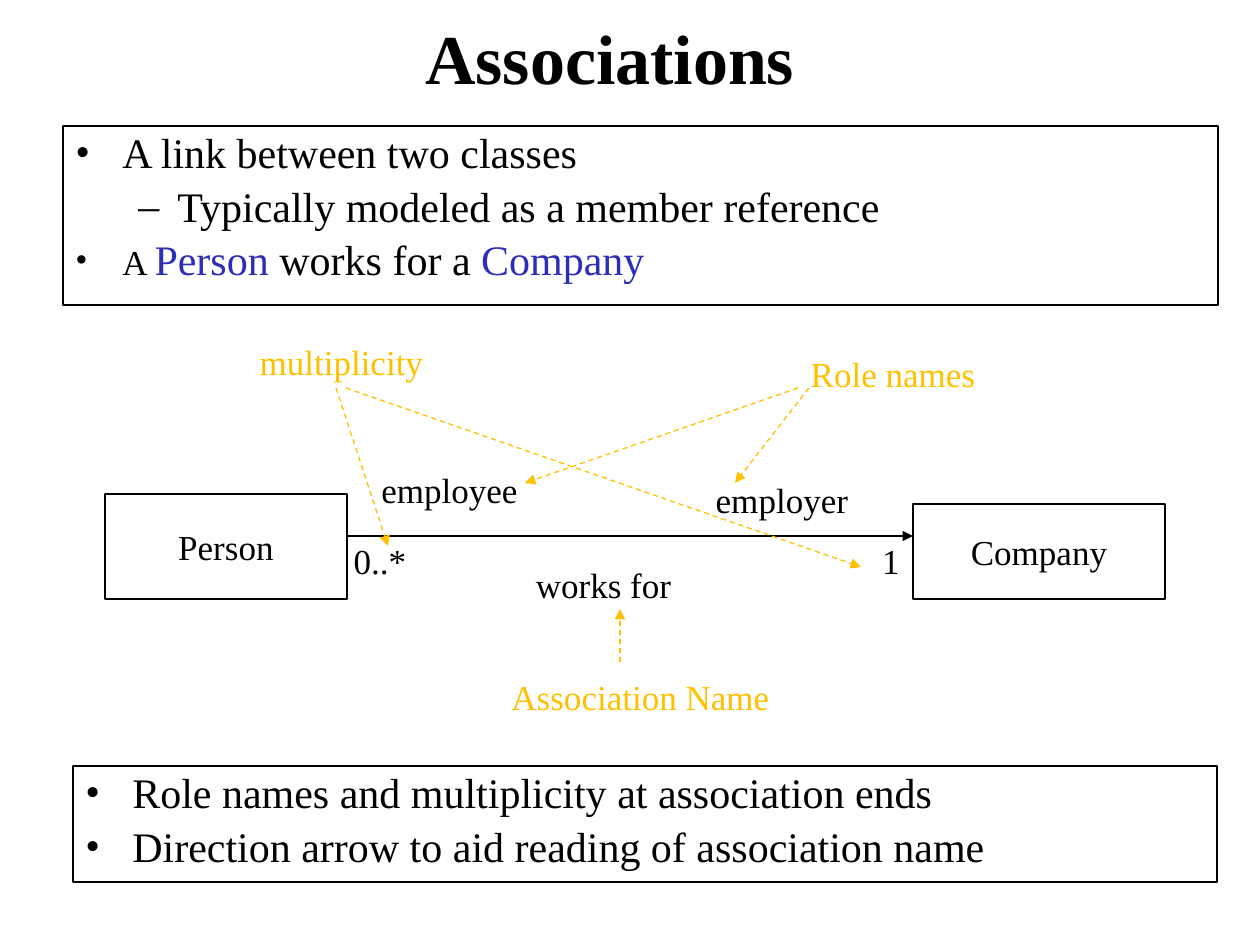
from dataclasses import dataclass

from lxml.etree import SubElement
from pptx import Presentation
from pptx.dml.color import RGBColor
from pptx.enum.dml import MSO_LINE
from pptx.enum.shapes import MSO_CONNECTOR, MSO_SHAPE
from pptx.enum.text import MSO_ANCHOR, PP_ALIGN
from pptx.oxml.ns import qn
from pptx.util import Emu, Pt


@dataclass(frozen=True)
class Theme:
    font: str = "Times New Roman"
    ink: str = "000000"
    paper: str = "FFFFFF"
    class_name: str = "2D2DB9"
    note: str = "FFC000"
    title: int = 40
    body: int = 24
    label: int = 20
    thin: float = 0.75
    medium: float = 1.5


THEME = Theme()
EMU_PER_PX = 914400 / 126

# Paragraph level: (bullet, left margin px, hanging indent px)
BULLETS = [("•", 47, 47), ("–", 102, 39)]


def px(n):
    return Emu(round(n * EMU_PER_PX))


def rgb(color):
    return RGBColor.from_string(color)


def style(r, size, color=THEME.ink, bold=False):
    r.font.name = THEME.font
    r.font.size = Pt(size)
    r.font.bold = bold
    r.font.color.rgb = rgb(color)


def add_rect(s, box, width, filled=False):
    sp = s.shapes.add_shape(MSO_SHAPE.RECTANGLE, *map(px, box))
    sp.shadow.inherit = False
    if filled:
        sp.fill.solid()
        sp.fill.fore_color.rgb = rgb(THEME.paper)
    else:
        sp.fill.background()
    sp.line.color.rgb = rgb(THEME.ink)
    sp.line.width = Pt(width)
    return sp


def add_arrow(s, start, end, color, width, dashed=False):
    c = s.shapes.add_connector(MSO_CONNECTOR.STRAIGHT, *map(px, (*start, *end)))
    c.line.color.rgb = rgb(color)
    c.line.width = Pt(width)
    if dashed:
        c.line.dash_style = MSO_LINE.DASH
    SubElement(c.line._get_or_add_ln(), qn("a:tailEnd"), type="triangle")
    SubElement(c._element.spPr, qn("a:effectLst"))
    return c


def set_line(tf, text, size, color=THEME.ink, align=PP_ALIGN.CENTER, bold=False):
    tf.text = text
    p = tf.paragraphs[0]
    p.alignment = align
    style(p.runs[0], size, color, bold)


def add_label(s, box, text, color=THEME.ink, align=PP_ALIGN.CENTER):
    tf = s.shapes.add_textbox(*map(px, box)).text_frame
    tf.word_wrap = align != PP_ALIGN.CENTER
    set_line(tf, text, THEME.label, color, align)


def add_title(s, box, text):
    tf = s.shapes.add_textbox(*map(px, box)).text_frame
    tf.word_wrap = True
    tf.vertical_anchor = MSO_ANCHOR.MIDDLE
    tf.margin_top, tf.margin_right = px(10), px(32)
    set_line(tf, text, THEME.title, bold=True)


def add_bullet(p, level):
    char, margin, hanging = BULLETS[level]
    p.level = level
    pPr = p._p.get_or_add_pPr()
    pPr.set("marL", str(px(margin)))
    pPr.set("indent", str(-px(hanging)))
    color = SubElement(pPr, qn("a:buClr"))
    SubElement(color, qn("a:srgbClr"), val=THEME.ink)
    SubElement(pPr, qn("a:buFont"), typeface=THEME.font)
    SubElement(pPr, qn("a:buChar"), char=char)


def add_bullet_panel(s, box, items):
    """Each item is a level and a list of (text, size, color) runs."""
    tf = add_rect(s, box, THEME.thin).text_frame
    tf.word_wrap = True
    tf.vertical_anchor = MSO_ANCHOR.TOP
    for i, (level, runs) in enumerate(items):
        p = tf.add_paragraph() if i else tf.paragraphs[0]
        add_bullet(p, level)
        p.alignment = PP_ALIGN.LEFT
        p.line_spacing = 0.9
        p.space_before = Pt(4.8 if i else 0)
        for text, size, color in runs:
            r = p.add_run()
            r.text = text
            style(r, size, color)


def add_class_diagram(s, left, top):
    def at(x, y, *size):
        return (left + x, top + y, *size)

    # Classes
    for name, box in (("Person", (0, 160, 242, 105)), ("Company", (808, 170, 252, 95))):
        tf = add_rect(s, at(*box), THEME.medium, filled=True).text_frame
        tf.vertical_anchor = MSO_ANCHOR.MIDDLE
        set_line(tf, name, THEME.label)

    # Association with its roles, name and multiplicities
    add_arrow(s, at(242, 202), at(808, 202), THEME.ink, THEME.medium)
    label_h = 55
    for text, x, y, w in (
        ("employee", 263, 128, 163),
        ("employer", 577, 138, 200),
        ("works for", 409, 223, 179),
        ("0..*", 236, 199, 78),
    ):
        add_label(s, at(x, y, w, label_h), text)
    add_label(s, at(747, 199, 60, label_h), "1", align=PP_ALIGN.RIGHT)

    # Explanatory notes and their pointers
    for text, x, y, w in (
        ("multiplicity", 137, 0, 199),
        ("Role names", 683, 12, 210),
        ("Association Name", 393, 335, 285),
    ):
        add_label(s, at(x, y, w, label_h), text, THEME.note)
    for start, end in (
        ((231, 54), (283, 212)),
        ((693, 54), (420, 149)),
        ((704, 54), (630, 149)),
        ((241, 54), (756, 233)),
        ((515, 328), (515, 275)),
    ):
        add_arrow(s, at(*start), at(*end), THEME.note, THEME.thin, dashed=True)


def main():
    prs = Presentation()
    prs.slide_width, prs.slide_height = px(1260), px(945)
    s = prs.slides.add_slide(prs.slide_layouts[6])

    def plain(text):
        return [(text, THEME.body, THEME.ink)]

    add_title(s, (63, 5, 1113, 100), "Associations")
    add_bullet_panel(s, (73, 766, 1144, 116), [
        (0, plain("Role names and multiplicity at association ends")),
        (0, plain("Direction arrow to aid reading of association name")),
    ])
    add_bullet_panel(s, (63, 126, 1155, 179), [
        (0, plain("A link between two classes")),
        (1, plain("Typically modeled as a member reference")),
        (0, [
            ("A ", THEME.label, THEME.ink),
            ("Person ", THEME.body, THEME.class_name),
            ("works for a ", THEME.body, THEME.ink),
            ("Company", THEME.body, THEME.class_name),
        ]),
    ])
    add_class_diagram(s, 105, 334)
    prs.save("out.pptx")


if __name__ == "__main__":
    main()
